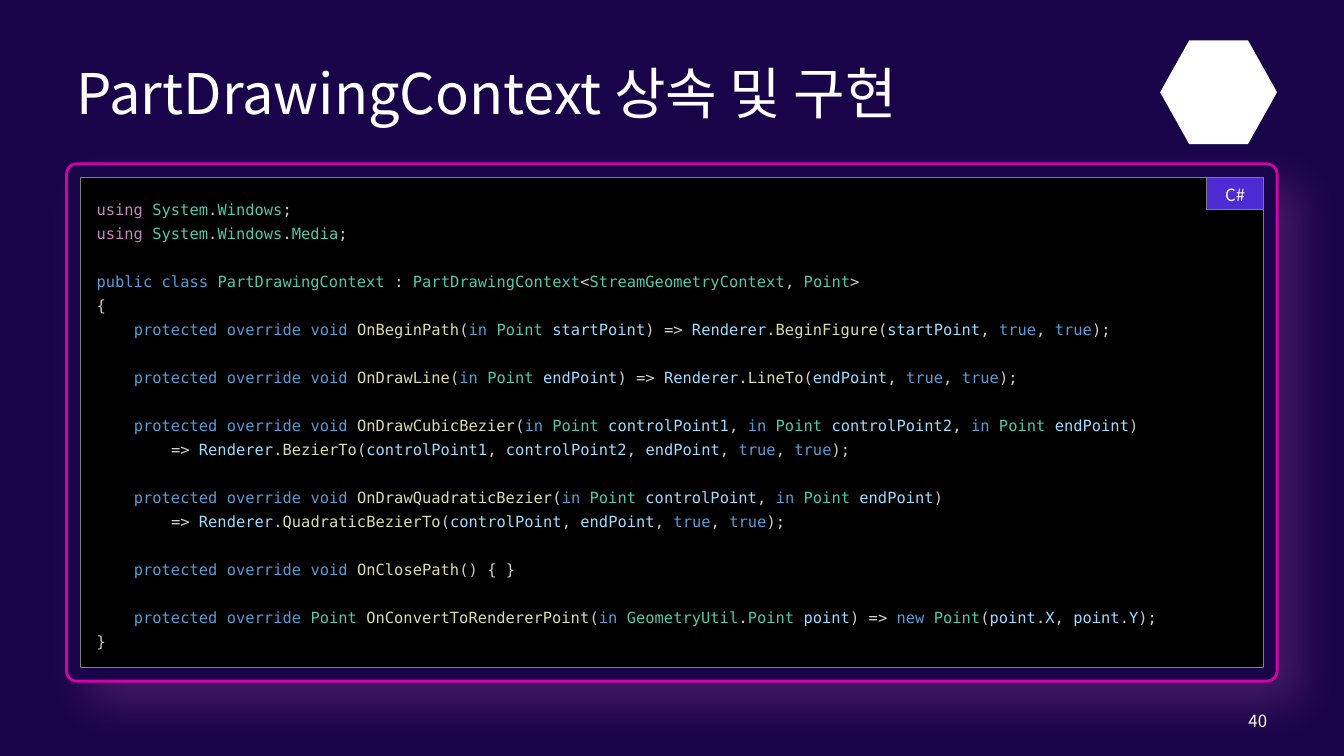
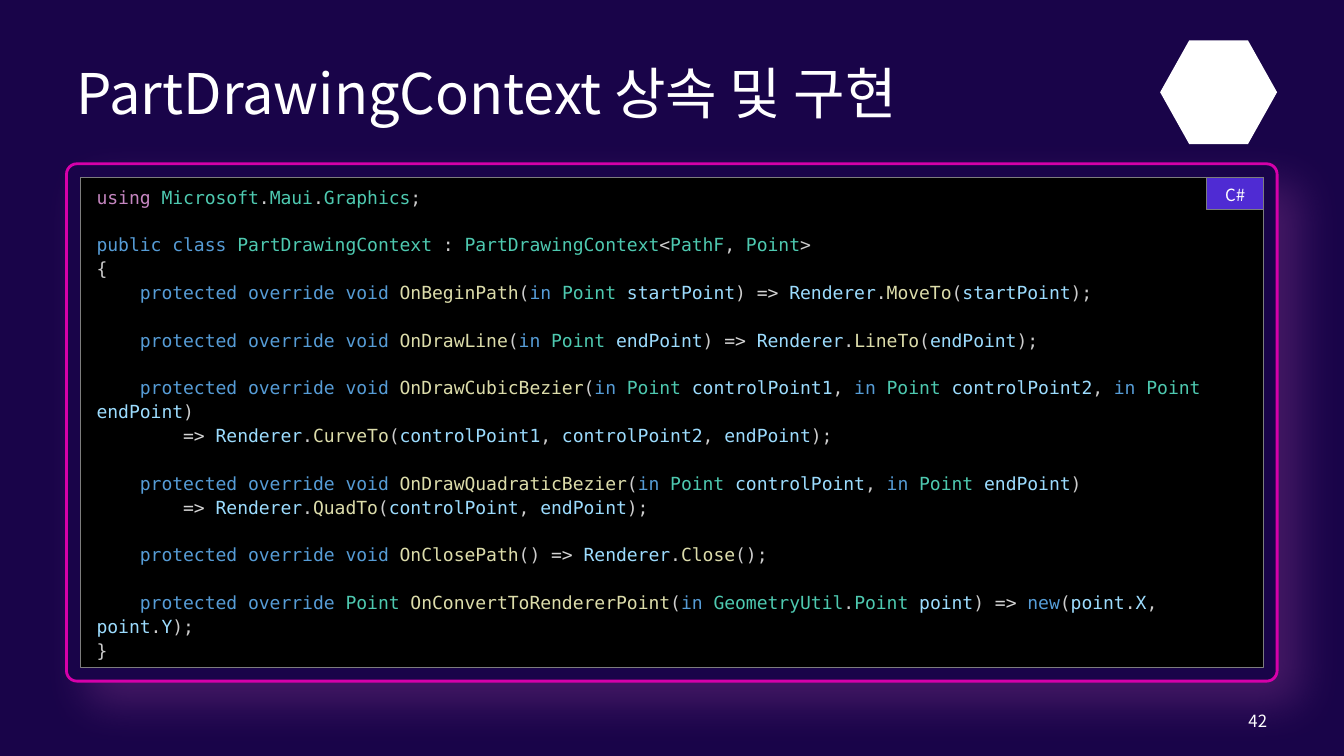
"""Build two slides showing highlighted C# drawing-context classes."""
from dataclasses import dataclass
from itertools import groupby
from typing import NamedTuple

from lxml import etree
from pptx import Presentation
from pptx import util as u
from pptx.dml.color import RGBColor
from pptx.enum import shapes, text
from pptx.oxml.ns import qn

COLORS = {
    "night": "190449", "black": "000000", "white": "FFFFFF",
    "pink": "D600AA", "glow": "E566CC", "violet": "4F2BD3", "gray": "7D7D7D",
    "using": "C586C0", "keyword": "569CD6", "type": "4EC9B0",
    "method": "DCDCAA", "variable": "9CDCFE", "mark": "CCCCCC", "arrow": "D4D4D4",
}
TEXT_FONT = "Noto Sans CJK KR"
CODE_FONT = "DejaVu Sans Mono"
CODE_LINE = 17.1
KEYWORDS = set("public class protected override void in true new".split())
TYPES = set("System Windows Media Microsoft Maui Graphics PartDrawingContext "
            "StreamGeometryContext PathF Point GeometryUtil".split())


class Area(NamedTuple):
    left: float
    top: float
    width: float
    height: float

    def lengths(self) -> list:
        return [u.Pt(value) for value in self]


@dataclass
class CodePage:
    number: str
    size: float
    spacing: float
    imports: list[str]
    renderer: str
    begin: str
    line: str
    cubic: str
    quadratic: str
    close: str
    convert: str

    def sections(self) -> list[list[str]]:
        """Return the code as groups of lines parted by one empty line."""
        method = "    protected override"
        body = "        => Renderer."
        return [
            self.imports,
            [f"public class PartDrawingContext : PartDrawingContext<{self.renderer}, Point>",
             "{",
             f"{method} void OnBeginPath(in Point startPoint) => Renderer.{self.begin};"],
            [f"{method} void OnDrawLine(in Point endPoint) => Renderer.{self.line};"],
            [f"{method} void OnDrawCubicBezier(in Point controlPoint1, "
             "in Point controlPoint2, in Point endPoint)",
             f"{body}{self.cubic};"],
            [f"{method} void OnDrawQuadraticBezier(in Point controlPoint, in Point endPoint)",
             f"{body}{self.quadratic};"],
            [f"{method} void OnClosePath() {self.close}"],
            [f"{method} Point OnConvertToRendererPoint(in GeometryUtil.Point point) "
             f"=> {self.convert}(point.X, point.Y);",
             "}"],
        ]


TITLE = Area(47.5, 28.8, 864.7, 74.2)
FRAME = Area(47.5, 117, 864.7, 369.5)
CODE = Area(57.5, 126.8, 845.3, 349.7)
BADGE = Area(861.8, 126.8, 41, 23)
EMBLEM = Area(828.7, 28.8, 83.5, 74.2)
NUMBER = Area(799.9, 500.4, 112.3, 28.8)

PAGES = [
    CodePage(
        "40", 11, 1.3, ["using System.Windows;", "using System.Windows.Media;"],
        renderer="StreamGeometryContext",
        begin="BeginFigure(startPoint, true, true)",
        line="LineTo(endPoint, true, true)",
        cubic="BezierTo(controlPoint1, controlPoint2, endPoint, true, true)",
        quadratic="QuadraticBezierTo(controlPoint, endPoint, true, true)",
        close="{ }",
        convert="new Point",
    ),
    CodePage(
        "42", 12.9, 1.1, ["using Microsoft.Maui.Graphics;"],
        renderer="PathF",
        begin="MoveTo(startPoint)",
        line="LineTo(endPoint)",
        cubic="CurveTo(controlPoint1, controlPoint2, endPoint)",
        quadratic="QuadTo(controlPoint, endPoint)",
        close="=> Renderer.Close();",
        convert="new",
    ),
]


def color(name: str) -> RGBColor:
    return RGBColor.from_string(COLORS[name])


def style_run(span, size: float, font: str, shade: str) -> None:
    span.font.size = u.Pt(size)
    span.font.name = font
    span.font.color.rgb = color(shade)
    etree.SubElement(span.font._element, qn("a:ea"), typeface=font)


def place(shape, area: Area) -> None:
    shape.left, shape.top, shape.width, shape.height = area.lengths()


def paint(shape, fill: str, line: str = "", width: float = 0.75) -> None:
    shape.fill.solid()
    shape.fill.fore_color.rgb = color(fill)
    if line:
        shape.line.color.rgb = color(line)
        shape.line.width = u.Pt(width)
    else:
        shape.line.fill.background()


def add_shape(page, kind, area: Area, fill: str, line: str = "", width: float = 0.75):
    shape = page.shapes.add_shape(kind, *area.lengths())
    shape.shadow.inherit = False
    paint(shape, fill, line, width)
    return shape


def set_frame(frame) -> None:
    frame.word_wrap = True
    frame.auto_size = text.MSO_AUTO_SIZE.NONE
    frame.vertical_anchor = text.MSO_ANCHOR.MIDDLE


def set_margins(frame, side: float, end: float) -> None:
    frame.margin_left = frame.margin_right = u.Pt(side)
    frame.margin_top = frame.margin_bottom = u.Pt(end)


def write_label(shape, words: str, size: float, align) -> None:
    frame = shape.text_frame
    frame.text = words
    set_frame(frame)
    para = frame.paragraphs[0]
    para.alignment = align
    style_run(para.runs[0], size, TEXT_FONT, "white")


def add_frame(page) -> None:
    box = add_shape(page, shapes.MSO_SHAPE.ROUNDED_RECTANGLE, FRAME, "night", "pink", 2)
    box.adjustments[0] = 0.02
    effects = box.element.spPr.find(qn("a:effectLst"))
    shadow = etree.SubElement(effects, qn("a:outerShdw"), blurRad=str(u.Pt(32)),
                              dist=str(u.Pt(21)), dir="2700000", algn="tl", rotWithShape="0")
    glow = etree.SubElement(shadow, qn("a:srgbClr"), val=COLORS["glow"])
    etree.SubElement(glow, qn("a:alpha"), val="22000")
    page.shapes.element.insert(2, box.element)


def char_kind(char: str) -> str:
    if char.isalnum():
        return "word"
    return "arrow" if char in "=>" else "mark"


def token_color(token: str, following: str) -> str:
    if not token.isalnum():
        return "arrow" if token == "=>" else "mark"
    if token == "using":
        return "using"
    if token in KEYWORDS:
        return "keyword"
    if token in TYPES:
        return "type"
    return "method" if following.startswith("(") else "variable"


def write_line(para, line: str, content: CodePage, gap: float) -> None:
    props = para._p.get_or_add_pPr()
    props.set("marL", "0")
    props.set("indent", "0")
    etree.SubElement(props, qn("a:buNone"))
    para.line_spacing = content.spacing
    para.space_before = u.Pt(gap)
    tokens = ["".join(chars) for _, chars in groupby(line, char_kind)]
    for token, following in zip(tokens, tokens[1:] + [""]):
        span = para.add_run()
        span.text = token
        style_run(span, content.size, CODE_FONT, token_color(token, following))


def write_code(box, content: CodePage) -> None:
    frame = box.text_frame
    set_frame(frame)
    set_margins(frame, 11.5, 8.6)
    for section_index, section in enumerate(content.sections()):
        for line_index, line in enumerate(section):
            first = section_index == line_index == 0
            para = frame.paragraphs[0] if first else frame.add_paragraph()
            gap = CODE_LINE if section_index and not line_index else 0
            write_line(para, line, content, gap)


def build_page(deck, content: CodePage) -> None:
    page = deck.slides.add_slide(deck.slide_layouts[1])
    title, body = page.placeholders
    add_frame(page)
    place(title, TITLE)
    write_label(title, "PartDrawingContext 상속 및 구현", 40, text.PP_ALIGN.LEFT)
    place(body, CODE)
    paint(body, "black", "gray")
    write_code(body, content)
    number = page.shapes.add_textbox(*NUMBER.lengths())
    write_label(number, content.number, 12, text.PP_ALIGN.RIGHT)
    emblem = add_shape(page, shapes.MSO_SHAPE.HEXAGON, EMBLEM, "white")
    emblem.adjustments[0] = 0.28
    badge = add_shape(page, shapes.MSO_SHAPE.RECTANGLE, BADGE, "violet", "gray")
    write_label(badge, "C#", 12, text.PP_ALIGN.CENTER)
    badge.text_frame.paragraphs[0].line_spacing = 1.1
    set_margins(badge.text_frame, 0, 0)


def main() -> None:
    deck = Presentation()
    deck.slide_width, deck.slide_height = u.Pt(960), u.Pt(540)
    backdrop = deck.slide_master.background.fill
    backdrop.solid()
    backdrop.fore_color.rgb = color("night")
    for content in PAGES:
        build_page(deck, content)
    deck.save("out.pptx")


if __name__ == "__main__":
    main()
